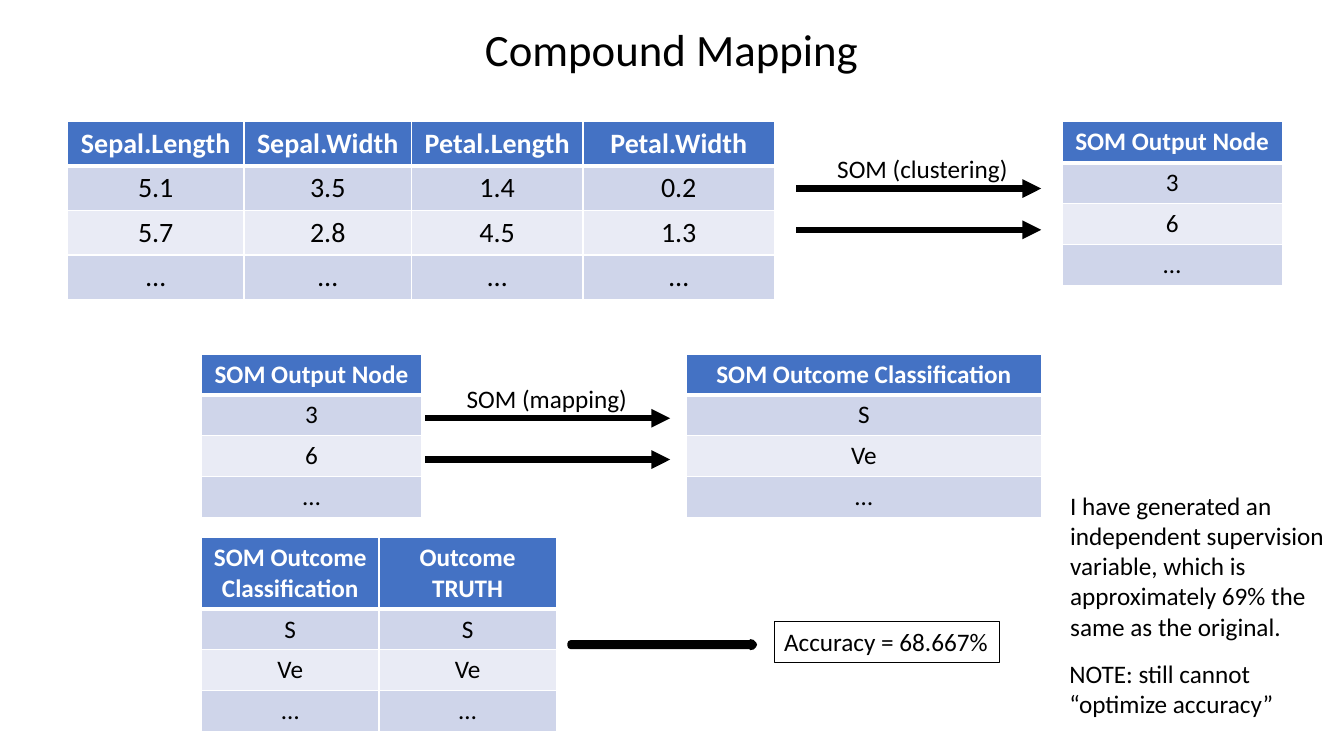
from dataclasses import dataclass

from lxml.etree import SubElement
from pptx import Presentation
from pptx.dml.color import RGBColor
from pptx.enum.shapes import MSO_CONNECTOR, MSO_SHAPE
from pptx.enum.text import MSO_ANCHOR, PP_ALIGN
from pptx.oxml.ns import qn
from pptx.shapes.base import BaseShape
from pptx.slide import Slide
from pptx.table import _Cell
from pptx.text.text import TextFrame
from pptx.util import Cm, Pt

FONT = "Calibri"
BLACK, WHITE, BLUE = "000000", "FFFFFF", "4472C4"
BANDS = ("CFD5EA", "E9EBF5")
ROW = 1.03
ARROW_LENGTH = 6.17
ARROW_GAP = 1.04


@dataclass
class DataTable:
    left: float
    top: float
    columns: list[float]
    rows: list[list[str]]
    size: int = 18
    header_height: float = ROW
    row_height: float = ROW


@dataclass
class Label:
    text: str
    left: float
    top: float
    width: float
    height: float = 1.02
    size: int = 18
    align: PP_ALIGN = PP_ALIGN.LEFT
    wrap: bool = False


@dataclass
class ArrowPair:
    left: float
    top: float


NODE_ROWS = [["SOM Output Node"], ["3"], ["6"], ["…"]]
CLASSES = ["S", "Ve", "…"]

TABLES = [
    DataTable(1.7, 3.07, [4.45, 4.22, 4.32, 4.83], [
        ["Sepal.Length", "Sepal.Width", "Petal.Length", "Petal.Width"],
        ["5.1", "3.5", "1.4", "0.2"],
        ["5.7", "2.8", "4.5", "1.3"],
        ["…"] * 4,
    ], size=20, header_height=1.1, row_height=1.1),
    DataTable(26.77, 3.07, [5.54], NODE_ROWS),
    DataTable(5.08, 8.92, [5.54], NODE_ROWS),
    DataTable(17.3, 8.92, [8.94],
              [["SOM Outcome Classification"]] + [[name] for name in CLASSES]),
    DataTable(5.08, 13.54, [4.47, 4.47],
              [["SOM Outcome Classification", "Outcome TRUTH"]]
              + [[name, name] for name in CLASSES], header_height=1.78),
]

LABELS = [
    Label("Compound Mapping", 11.91, 0.43, 10.03, 1.63, size=32,
          align=PP_ALIGN.CENTER),
    Label("SOM (clustering)", 20.85, 3.73, 4.85),
    Label("SOM (mapping)", 11.51, 9.53, 4.6),
    Label("I have generated an independent supervision variable, which is "
          "approximately 69% the same as the original.",
          26.72, 12.22, 6.99, 4.11, wrap=True),
    Label("NOTE: still cannot “optimize accuracy”",
          26.7, 16.46, 5.69, 2.57, wrap=True),
]
ACCURACY = Label("Accuracy = 68.667%", 19.51, 15.67, 5.69)

ARROW_PAIRS = [ArrowPair(20.07, 4.75), ArrowPair(10.72, 10.54)]


def color(value: str) -> RGBColor:
    return RGBColor.from_string(value)


def write(frame: TextFrame, text: str, size: int, align: PP_ALIGN,
          ink: str = BLACK, bold: bool = False) -> None:
    paragraph = frame.paragraphs[0]
    paragraph.alignment = align
    run = paragraph.add_run()
    run.text = text
    run.font.name = FONT
    run.font.size = Pt(size)
    run.font.bold = bold
    run.font.color.rgb = color(ink)


def add_borders(cell: _Cell, is_header: bool) -> None:
    properties = cell._tc.get_or_add_tcPr()
    for position, side in enumerate(("lnL", "lnR", "lnT", "lnB")):
        points = 3 if is_header and side == "lnB" else 1
        line = properties.makeelement(qn(f"a:{side}"), {"w": str(Pt(points))})
        fill = SubElement(line, qn("a:solidFill"))
        SubElement(fill, qn("a:srgbClr"), val=WHITE)
        properties.insert(position, line)


def draw_table(slide: Slide, data: DataTable) -> None:
    heights = [data.header_height] + [data.row_height] * (len(data.rows) - 1)
    table = slide.shapes.add_table(
        len(data.rows), len(data.columns), Cm(data.left), Cm(data.top),
        Cm(sum(data.columns)), Cm(sum(heights))).table
    for column, width in zip(table.columns, data.columns):
        column.width = Cm(width)
    for r, (values, height) in enumerate(zip(data.rows, heights)):
        table.rows[r].height = Cm(height)
        is_header = r == 0
        for c, value in enumerate(values):
            cell = table.cell(r, c)
            cell.fill.solid()
            cell.fill.fore_color.rgb = color(
                BLUE if is_header else BANDS[(r - 1) % 2])
            add_borders(cell, is_header)
            write(cell.text_frame, value, data.size, PP_ALIGN.CENTER,
                  WHITE if is_header else BLACK, is_header)


def fill_label(shape: BaseShape, label: Label) -> None:
    frame = shape.text_frame
    frame.word_wrap = label.wrap
    frame.vertical_anchor = MSO_ANCHOR.TOP
    write(frame, label.text, label.size, label.align)


def draw_label(slide: Slide, label: Label) -> None:
    box = slide.shapes.add_textbox(Cm(label.left), Cm(label.top),
                                   Cm(label.width), Cm(label.height))
    fill_label(box, label)


def draw_arrow_pair(slide: Slide, pair: ArrowPair) -> None:
    for y in (pair.top, pair.top + ARROW_GAP):
        arrow = slide.shapes.add_connector(
            MSO_CONNECTOR.STRAIGHT, Cm(pair.left), Cm(y),
            Cm(pair.left + ARROW_LENGTH), Cm(y))
        arrow.line.color.rgb = color(BLACK)
        arrow.line.width = Pt(4.5)
        SubElement(arrow.line._get_or_add_ln(), qn("a:tailEnd"), type="triangle")
        SubElement(arrow._element.spPr, qn("a:effectLst"))


def draw_accuracy(slide: Slide) -> None:
    result_arrow = slide.shapes.add_shape(
        MSO_SHAPE.RIGHT_ARROW, Cm(14.38), Cm(16.18), Cm(4.62), Cm(0.13))
    result_arrow.fill.solid()
    result_arrow.fill.fore_color.rgb = color(BLUE)
    accuracy = slide.shapes.add_shape(
        MSO_SHAPE.RECTANGLE, Cm(ACCURACY.left), Cm(ACCURACY.top),
        Cm(ACCURACY.width), Cm(ACCURACY.height))
    accuracy.fill.background()
    fill_label(accuracy, ACCURACY)
    for shape, points in ((result_arrow, 4.5), (accuracy, 0.75)):
        shape.shadow.inherit = False
        shape.line.color.rgb = color(BLACK)
        shape.line.width = Pt(points)


def main() -> None:
    presentation = Presentation()
    presentation.slide_width = Cm(33.87)
    presentation.slide_height = Cm(19.05)
    slide = presentation.slides.add_slide(presentation.slide_layouts[6])

    # Data tables and the steps between them
    for data in TABLES:
        draw_table(slide, data)
    for pair in ARROW_PAIRS:
        draw_arrow_pair(slide, pair)

    # Title, step names and remarks
    for label in LABELS:
        draw_label(slide, label)

    # Result of the comparison
    draw_accuracy(slide)
    presentation.save("out.pptx")


if __name__ == "__main__":
    main()
